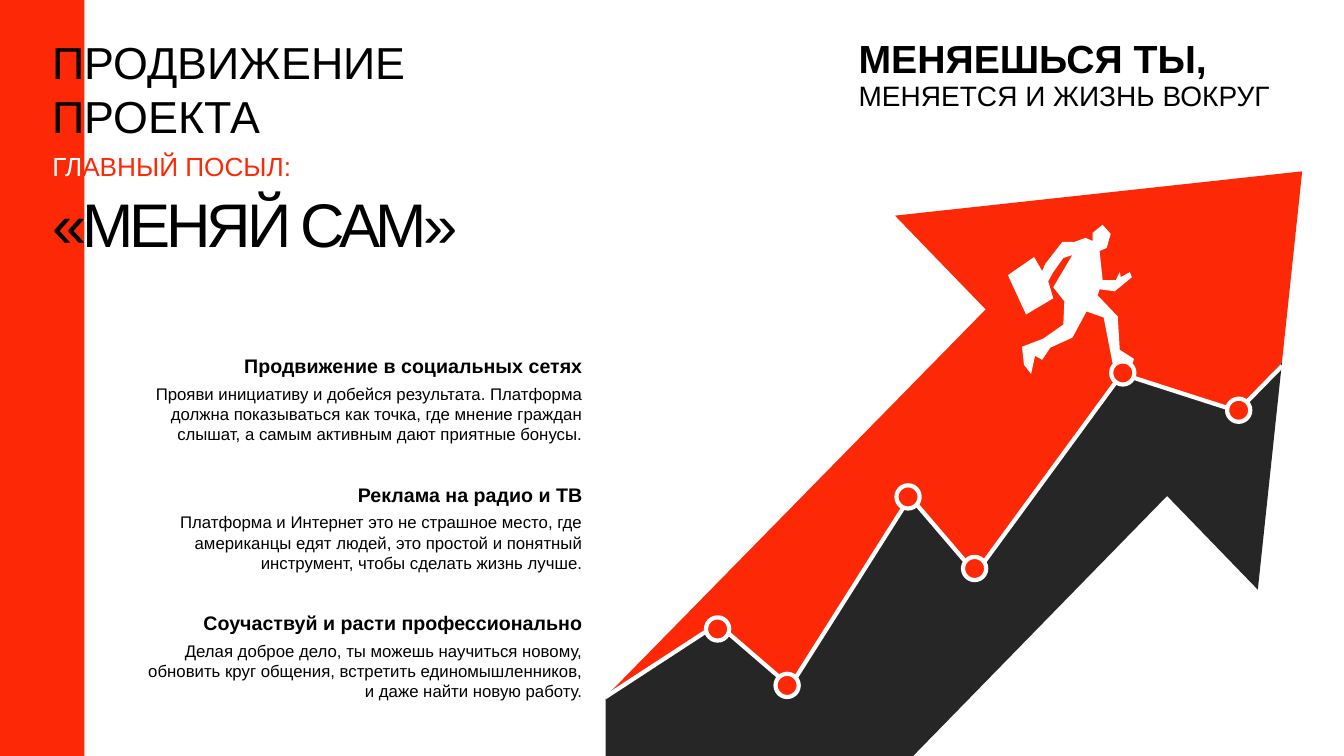
from pptx import Presentation
from pptx import util as u
from pptx.dml.color import RGBColor
from pptx.enum import shapes, text

RED, DARK, WHITE, BLACK = "FD2906", "262626", "FFFFFF", "000000"
GRID = u.Cm(0.0254)  # one unit of the arrow drawing
LEFT, RIGHT, JUSTIFY = text.PP_ALIGN.LEFT, text.PP_ALIGN.RIGHT, text.PP_ALIGN.JUSTIFY
MIDDLE, TOP = text.MSO_ANCHOR.MIDDLE, text.MSO_ANCHOR.TOP


def color(value):
    return RGBColor.from_string(value)


class Deck:
    """Holds the style and the current slide."""

    font = "Arial"
    line_width = u.Pt(3)

    def __init__(self, width, height):
        self.prs = Presentation()
        self.prs.slide_width, self.prs.slide_height = u.Cm(width), u.Cm(height)
        self.slide = self.prs.slides.add_slide(self.prs.slide_layouts[6])
        self.shapes = self.slide.shapes

    def open_group(self):
        self.shapes = self.slide.shapes.add_group_shape().shapes

    def close_group(self):
        self.shapes = self.slide.shapes

    def paint(self, sp, fill=None, line=None):
        sp.shadow.inherit = False
        if fill:
            sp.fill.solid()
            sp.fill.fore_color.rgb = color(fill)
        else:
            sp.fill.background()
        if line:
            sp.line.color.rgb = color(line)
            sp.line.width = self.line_width
        else:
            sp.line.fill.background()

    def rect(self, x, y, w, h, fill):
        sp = self.shapes.add_shape(shapes.MSO_SHAPE.RECTANGLE,
                                   u.Cm(x), u.Cm(y), u.Cm(w), u.Cm(h))
        self.paint(sp, fill)

    def marker(self, x, y, size=23):
        left, top = (int((v - size / 2) * GRID) for v in (x, y))
        sp = self.shapes.add_shape(shapes.MSO_SHAPE.OVAL, left, top,
                                   size * GRID, size * GRID)
        self.paint(sp, RED, WHITE)

    def outline(self, points, fill=None, line=None):
        fb = self.shapes.build_freeform(*points[0], scale=GRID)
        fb.add_line_segments(points[1:], close=fill is not None)
        self.paint(fb.convert_to_shape(), fill, line)

    def label(self, x, y, w, h, runs, size, bold=False, align=LEFT,
              anchor=MIDDLE, left_inset=0.25, spacing=None):
        """Text box; runs is a list of (text, colour) pairs."""
        sp = self.shapes.add_textbox(u.Cm(x), u.Cm(y), u.Cm(w), u.Cm(h))
        tf = sp.text_frame
        tf.word_wrap = True
        tf.auto_size = text.MSO_AUTO_SIZE.SHAPE_TO_FIT_TEXT
        tf.vertical_anchor = anchor
        tf.margin_left = u.Cm(left_inset)
        p = tf.paragraphs[0]
        p.alignment = align
        p.font.name, p.font.size, p.font.bold = self.font, u.Pt(size), bold
        for words, tint in runs:
            r = p.add_run()
            r.text = words
            r.font.color.rgb = color(tint)
            if spacing:
                r.font._element.set("spc", str(spacing * 100))

    def save(self):
        self.prs.save("out.pptx")


# Arrow geometry, in grid units
RIDGE = [(711, 619), (783, 681), (902, 493), (967, 569), (1112, 371), (1227, 408)]
TAIL, NOTCH = (608, 684), (1272, 359)
LOWER = [NOTCH, (1248, 585), (1158, 492), (906, 750), (601, 750), (601, 691), TAIL]
UPPER = [NOTCH, (1292, 170), (888, 214), (978, 307), TAIL]
MARKERS = [(712, 624), (781, 680), (901, 493), (1114, 370), (1229, 407), (967, 564)]

# Running figure, relative to its top left corner
RUNNER_AT = (1000, 223)
RUNNER = [
    (0, 50), (18, 89), (45, 73), (40, 56), (45, 47), (55, 33), (64, 30),
    (45, 62), (56, 76), (55, 99), (35, 113), (14, 121), (16, 139), (23, 148),
    (27, 130), (34, 134), (42, 122), (64, 112), (78, 86), (95, 92), (104, 138),
    (124, 137), (125, 133), (111, 124), (109, 91), (89, 70), (91, 64), (106, 66),
    (123, 52), (121, 47), (112, 52), (111, 47), (107, 55), (94, 55), (91, 26),
    (98, 23), (102, 9), (94, 0), (84, 8), (84, 16), (77, 13), (66, 17),
    (54, 17), (37, 39), (34, 46), (26, 32)]

TOPICS = [
    ("Продвижение в социальных сетях",
     "Прояви инициативу и добейся результата. Платформа должна показываться как "
     "точка, где мнение граждан слышат, а самым активным дают приятные бонусы."),
    ("Реклама на радио и ТВ",
     "Платформа и Интернет это не страшное место, где американцы едят людей, это "
     "простой и понятный инструмент, чтобы сделать жизнь лучше."),
    ("Соучаствуй и расти профессионально",
     "Делая доброе дело, ты можешь научиться новому, обновить круг общения, "
     "встретить единомышленников, и даже найти новую работу."),
]


def main():
    s = Deck(33.87, 19.05)

    # Growth arrow with the runner
    s.open_group()
    s.outline(LOWER + RIDGE, fill=DARK)
    s.outline(UPPER + RIDGE, fill=RED)
    s.outline([(600, 692)] + [(x + 1, y) for x, y in RIDGE] + [(1272, 363)], line=WHITE)
    for x, y in MARKERS:
        s.marker(x, y)
    dx, dy = RUNNER_AT
    s.outline([(x + dx, y + dy) for x, y in RUNNER], fill=WHITE)
    s.close_group()

    # Slogan above the arrow
    s.label(21.39, 1.85, 11.56, 1.12, [("МЕНЯЕТСЯ И ЖИЗНЬ ВОКРУГ", BLACK)], 20,
            align=JUSTIFY)
    s.label(21.39, 0.74, 11.56, 1.45, [("МЕНЯЕШЬСЯ ТЫ,", BLACK)], 28, bold=True,
            align=JUSTIFY)

    # Side bar and titles
    s.rect(0, 0, 2.13, 19.05, RED)
    s.label(1.07, 4.55, 12.14, 2.13, [("«МЕНЯЙ САМ»", BLACK)], 44, spacing=-3)
    s.label(1.07, 3.66, 12.14, 1.07, [("ГЛ", WHITE), ("АВНЫЙ ПОСЫЛ:", RED)], 18.7)
    s.label(1.07, 0.74, 12.14, 3, [("ПРОДВИЖЕНИЕ ПРОЕКТА", BLACK)], 32)

    # Topics, evenly spaced
    for i, (heading, body) in enumerate(TOPICS):
        y = 8.79 + 3.24 * i
        s.open_group()
        s.label(3.58, y, 11.35, 0.86, [(heading, BLACK)], 14, bold=True,
                align=RIGHT, left_inset=0)
        s.label(3.58, y + 0.75, 11.35, 1.8, [(body, BLACK)], 12,
                align=RIGHT, anchor=TOP, left_inset=0)
        s.close_group()

    s.save()


if __name__ == "__main__":
    main()
